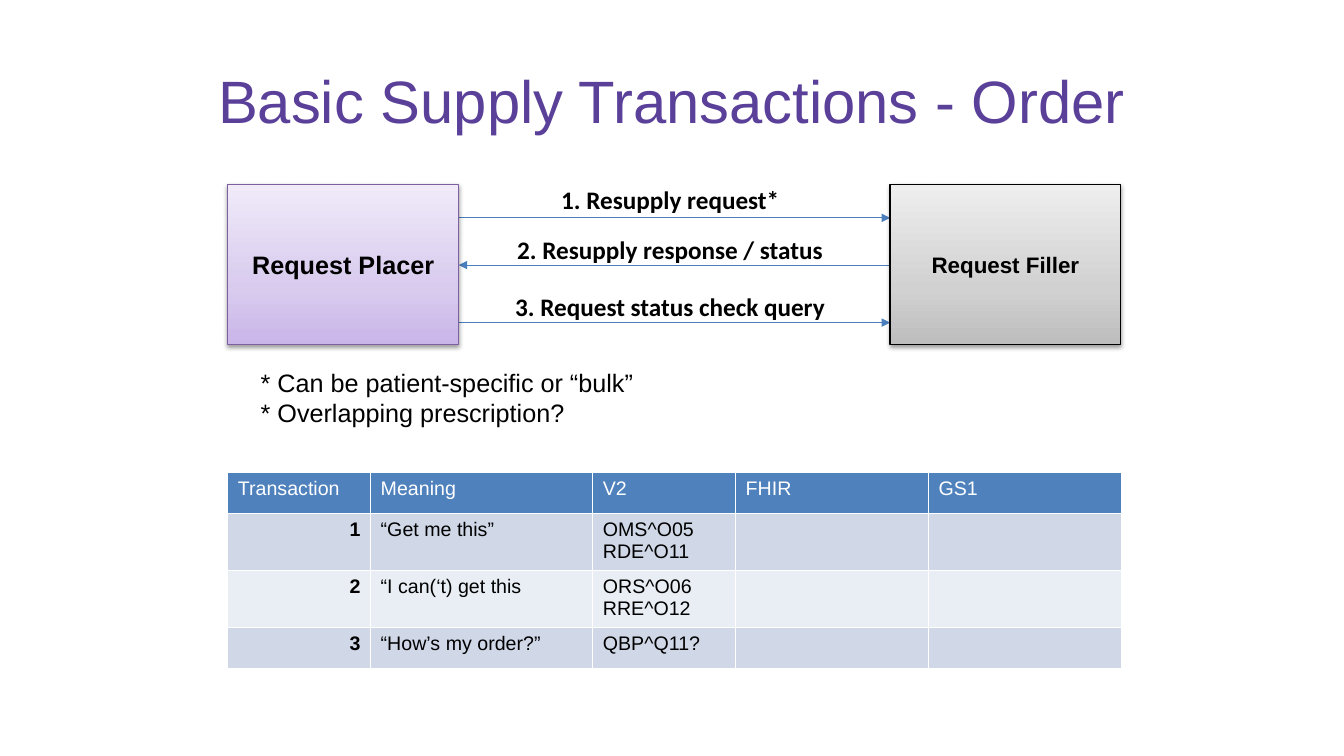
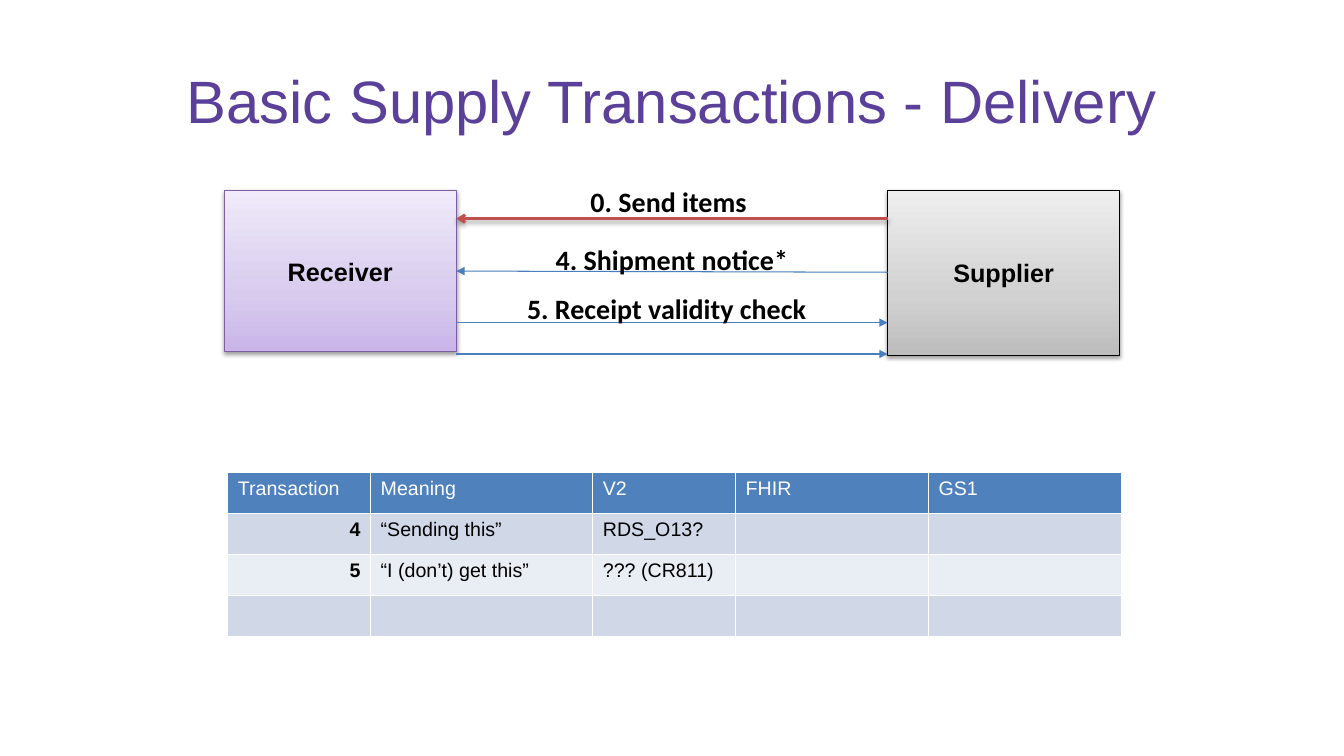
from dataclasses import dataclass

from lxml import etree
from pptx import Presentation
from pptx.dml.color import RGBColor
from pptx.enum.shapes import MSO_CONNECTOR, MSO_SHAPE
from pptx.enum.text import MSO_ANCHOR, MSO_AUTO_SIZE, PP_ALIGN
from pptx.oxml.ns import qn
from pptx.util import Cm, Pt

LEFT, CENTER, RIGHT = PP_ALIGN.LEFT, PP_ALIGN.CENTER, PP_ALIGN.RIGHT
MIDDLE = MSO_ANCHOR.MIDDLE
FIT_SHAPE = MSO_AUTO_SIZE.SHAPE_TO_FIT_TEXT
RECTANGLE = MSO_SHAPE.RECTANGLE
STRAIGHT = MSO_CONNECTOR.STRAIGHT


@dataclass(frozen=True)
class Theme:
    font: str = "Arial"
    label_font: str = "Calibri"
    title: str = "5A4099"
    text: str = "000000"
    header_text: str = "FFFFFF"
    header_fill: str = "4F81BD"
    row_fills: tuple = ("D0D8E8", "E9EDF4")
    message: str = "4B7EBC"
    goods: str = "C0504D"
    purple: tuple = ("C9B5E8", "D8CBEE", "F0EAF9")
    purple_line: str = "7D60A0"
    grey: tuple = ("BDBDBD", "D1D1D1", "EEEEEE")
    grey_line: str = "000000"
    title_size: float = 42.7
    body_size: int = 18
    small_size: int = 16
    large_size: int = 20
    table_size: int = 14
    thin: float = 0.75
    thick: float = 2


THEME = Theme()
GRADIENT_STOPS = (0, 35000, 100000)
HEADER = ("Transaction", "Meaning", "V2", "FHIR", "GS1")
COLUMN_WIDTHS = (3.6, 5.6, 3.6, 4.86, 4.86)
ROW_HEIGHT = 1.03


def rgb(value):
    return RGBColor.from_string(value)


def write(tf, text, size, color=THEME.text, font=THEME.font, bold=False,
          align=LEFT, before=0):
    """Fill a text frame, one paragraph for each line of text."""
    tf.text = text
    for p in tf.paragraphs:
        p.alignment = align
        p.space_before = Pt(before)
        p.font.name = font
        p.font.size = Pt(size)
        p.font.bold = bold
        p.font.color.rgb = rgb(color)


def set_effects(s, shadow):
    """Replace the inherited effects; call after fill and line are set."""
    effects = etree.SubElement(s._element.spPr, qn("a:effectLst"))
    if shadow:
        outer = etree.SubElement(effects, qn("a:outerShdw"), blurRad="40000",
                                 dist="20000", dir="5400000", rotWithShape="0")
        color = etree.SubElement(outer, qn("a:srgbClr"), val="000000")
        etree.SubElement(color, qn("a:alpha"), val="38000")


def set_gradient(s, colors):
    """Fill upwards from the first colour to the last."""
    s.fill.gradient()
    s.fill.gradient_angle = 90
    stops = next(s._element.spPr.iter(qn("a:gsLst")))
    for stop in list(stops):
        stops.remove(stop)
    for pos, color in zip(GRADIENT_STOPS, colors):
        stop = etree.SubElement(stops, qn("a:gs"), pos=str(pos))
        etree.SubElement(stop, qn("a:srgbClr"), val=color)


def add_title(slide, text):
    s = slide.shapes.add_textbox(Cm(2.54), Cm(1.46), Cm(28.78), Cm(2.08))
    s.text_frame.word_wrap = True
    s.text_frame.vertical_anchor = MIDDLE
    write(s.text_frame, text, THEME.title_size, THEME.title, align=CENTER)


def add_actor(slide, text, left, top, width, height, colors, line,
              size=THEME.body_size):
    s = slide.shapes.add_shape(RECTANGLE, Cm(left), Cm(top), Cm(width), Cm(height))
    set_gradient(s, colors)
    s.line.color.rgb = rgb(line)
    s.line.width = Pt(THEME.thin)
    set_effects(s, shadow=True)
    s.text_frame.vertical_anchor = MIDDLE
    write(s.text_frame, text, size, bold=True, align=CENTER, before=6)


def add_arrow(slide, x1, y1, x2, y2, color=THEME.message, width=THEME.thin,
              head="triangle", shadow=False):
    s = slide.shapes.add_connector(STRAIGHT, Cm(x1), Cm(y1), Cm(x2), Cm(y2))
    s.line.color.rgb = rgb(color)
    s.line.width = Pt(width)
    etree.SubElement(s.line._get_or_add_ln(), qn("a:tailEnd"), type=head)
    set_effects(s, shadow)


def add_free_text(slide, text, left, top, width, height, size, **style):
    """Add an unwrapped text box that grows with its text."""
    s = slide.shapes.add_textbox(Cm(left), Cm(top), Cm(width), Cm(height))
    s.text_frame.word_wrap = False
    s.text_frame.auto_size = FIT_SHAPE
    write(s.text_frame, text, size, **style)


def add_labels(slide, labels, height, size):
    for text, left, top, width in labels:
        add_free_text(slide, text, left, top, width, height, size,
                      font=THEME.label_font, bold=True, align=CENTER, before=6)


def add_transactions(slide, rows):
    """Add the transaction table; short rows are left blank at the end."""
    table = slide.shapes.add_table(
        len(rows) + 1, len(HEADER), Cm(5.74), Cm(11.91),
        Cm(sum(COLUMN_WIDTHS)), Cm(ROW_HEIGHT * (len(rows) + 1))).table
    for column, width in zip(table.columns, COLUMN_WIDTHS):
        column.width = Cm(width)
    for i, row in enumerate((HEADER, *rows)):
        header = i == 0
        fill = THEME.header_fill if header else THEME.row_fills[(i - 1) % 2]
        color = THEME.header_text if header else THEME.text
        for j in range(len(HEADER)):
            number = j == 0 and not header
            cell = table.cell(i, j)
            cell.fill.solid()
            cell.fill.fore_color.rgb = rgb(fill)
            write(cell.text_frame, row[j] if j < len(row) else "",
                  THEME.table_size, color, bold=number,
                  align=RIGHT if number else LEFT)


def build_order(slide):
    add_title(slide, "Basic Supply Transactions - Order")
    placer, filler = 11.56, 22.43
    add_arrow(slide, placer, 5.49, filler, 5.49)
    add_arrow(slide, filler, 6.68, placer, 6.68)
    add_arrow(slide, placer, 8.13, filler, 8.13)
    add_labels(slide, (
        ("1. Resupply request*", 13.87, 4.52, 6.05),
        ("2. Resupply response / status", 12.75, 5.79, 8.28),
        ("3. Request status check query", 12.7, 7.21, 8.38),
    ), 1.02, THEME.body_size)
    add_actor(slide, "Request Placer", 5.74, 4.65, 5.82, 4.04,
              THEME.purple, THEME.purple_line)
    add_actor(slide, "Request Filler", filler, 4.65, 5.82, 4.04,
              THEME.grey, THEME.grey_line, THEME.small_size)
    add_free_text(slide, "* Can be patient-specific or “bulk”\n* Overlapping prescription?",
                  6.32, 9.12, 9.98, 1.8, THEME.body_size)
    add_transactions(slide, (
        ("1", "“Get me this”", "OMS^O05\nRDE^O11"),
        ("2", "“I can(‘t) get this", "ORS^O06\nRRE^O12"),
        ("3", "“How’s my order?”", "QBP^Q11?"),
    ))


def build_delivery(slide):
    add_title(slide, "Basic Supply Transactions - Delivery")
    receiver, supplier = 11.5, 22.37
    add_actor(slide, "Receiver", 5.65, 4.8, 5.85, 4.06,
              THEME.purple, THEME.purple_line)
    add_actor(slide, "Supplier", supplier, 4.8, 5.85, 4.15,
              THEME.grey, THEME.grey_line)
    add_arrow(slide, supplier, 6.86, receiver, 6.83)
    add_arrow(slide, supplier, 5.51, receiver, 5.51, THEME.goods, THEME.thick,
              "arrow", shadow=True)
    for y in (8.13, 8.92):
        add_arrow(slide, receiver, y, supplier, y)
    add_labels(slide, (
        ("0. Send items", 14.6, 4.52, 4.5),
        ("4. Shipment notice*", 13.72, 5.99, 6.43),
        ("5. Receipt validity check", 13, 7.21, 7.6),
    ), 1.12, THEME.large_size)
    add_transactions(slide, (
        ("4", "“Sending this”", "RDS_O13?"),
        ("5", "“I (don’t) get this”", "??? (CR811)"),
        (),
    ))


def main():
    prs = Presentation()
    prs.slide_width, prs.slide_height = Cm(33.87), Cm(19.05)
    blank = prs.slide_layouts[6]
    for build in (build_order, build_delivery):
        build(prs.slides.add_slide(blank))
    prs.save("out.pptx")


if __name__ == "__main__":
    main()
